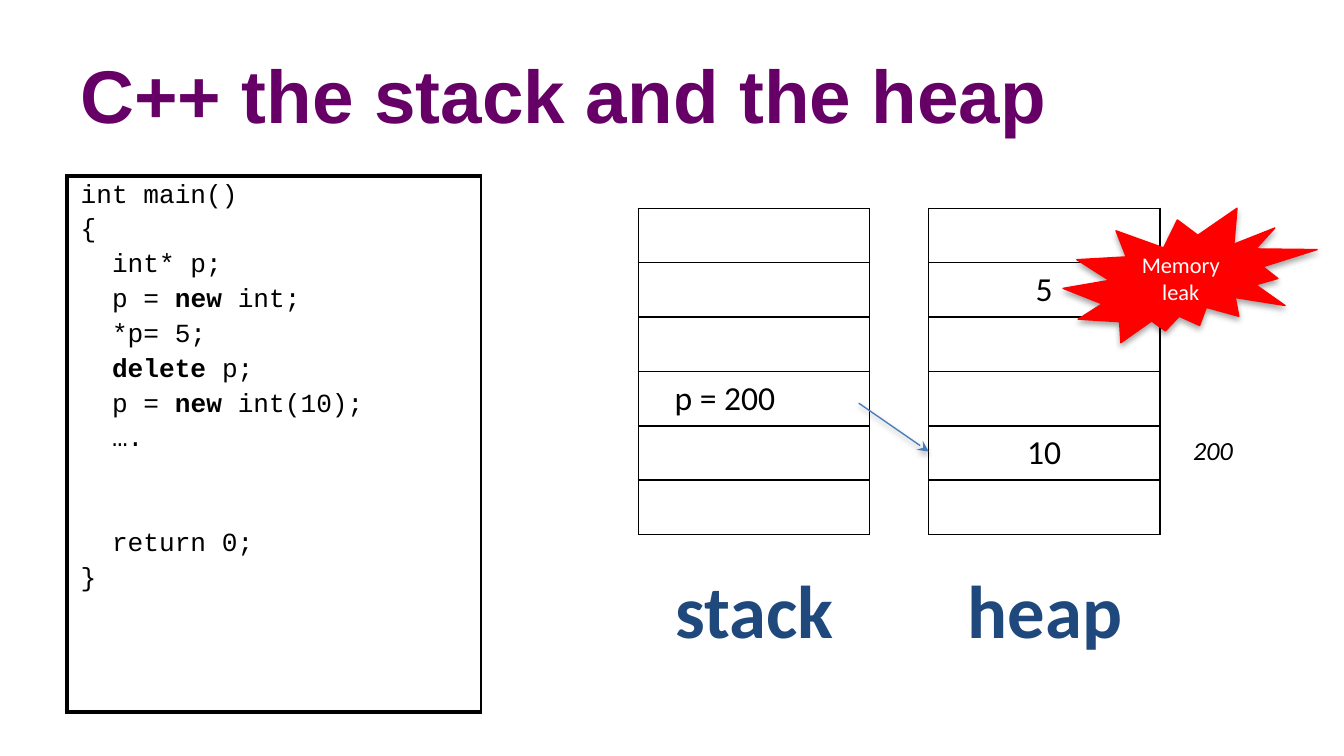
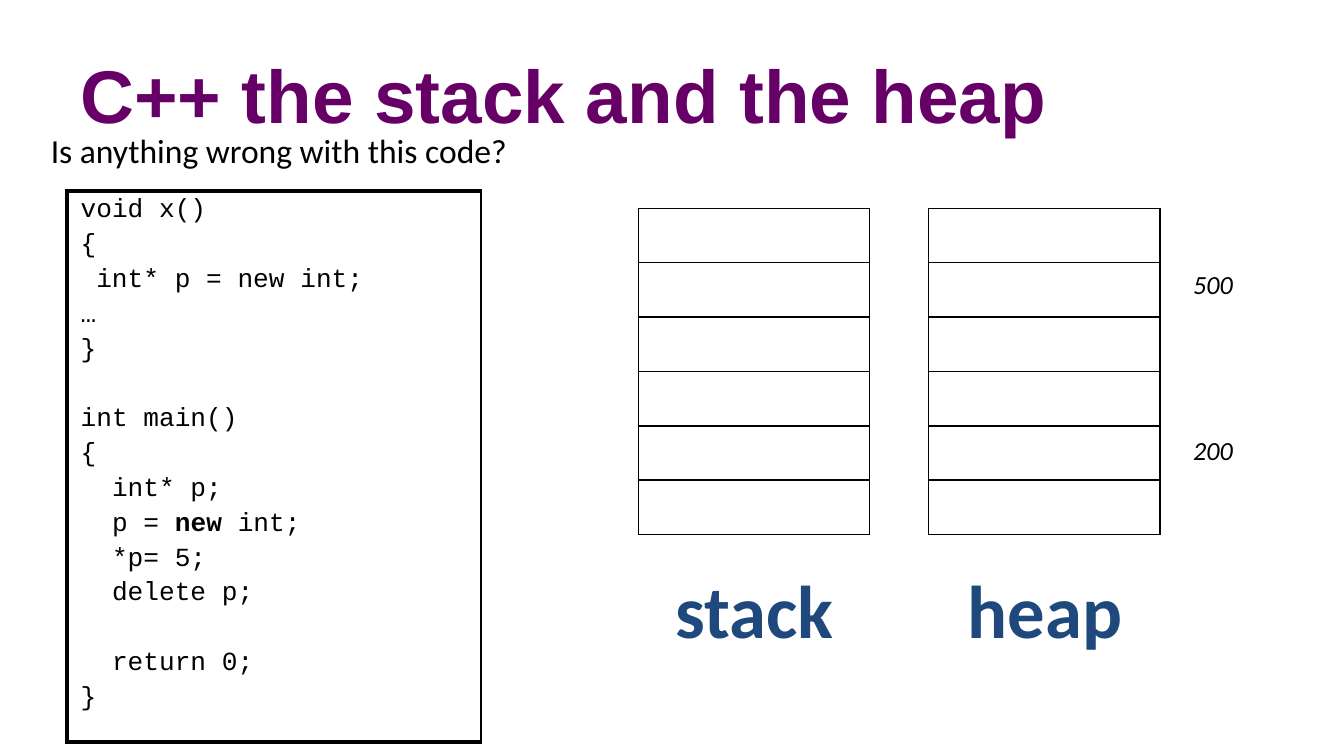
from dataclasses import dataclass

from lxml.etree import SubElement
from pptx import Presentation
from pptx.dml.color import RGBColor
from pptx.enum.shapes import MSO_CONNECTOR as LINK, MSO_SHAPE as SHAPE
from pptx.enum.text import MSO_ANCHOR as ANCHOR, PP_ALIGN as ALIGN
from pptx.oxml.ns import qn
from pptx.util import Inches, Pt


@dataclass(frozen=True)
class Theme:
    title: str = "660066"
    caption: str = "1F497D"
    ink: str = "000000"
    paper: str = "FFFFFF"
    alert: str = "FF0000"
    pointer: str = "4B7EBC"
    title_font: str = "Arial"
    body_font: str = "Calibri"
    code_font: str = "Courier New"
    display: int = 40
    body: int = 18
    small: int = 14
    note: int = 12
    thin: float = 1
    thick: float = 2.25
    hairline: float = 0.75


THEME = Theme()

# Grid: 100 columns by 56.25 rows of a tenth of an inch
UNIT = Inches(0.1)
COLUMNS, ROWS = 100, 56.25

# Memory blocks
STACK_LEFT, HEAP_LEFT = 47.5, 69.1
BLOCK_TOP, BLOCK_WIDTH = 15.5, 17.2
SLOTS, SLOT_HEIGHT = 6, 4.05

# Code metrics in points
CODE_CHAR, CODE_LINE, CODE_GAP = 8.4, 18.7, 2.8

MAIN_CODE = """\
int main()
{
  int* p;
  p = `new` int;
  *p= 5;
  `delete` p;
  p = `new` int(10);
  ….


  return 0;
}"""

FUNCTION_CODE = """\
void x()
{
 int* p = new int;
…
}

int main()
{
  int* p;
  p = `new` int;
  *p= 5;
  delete p;

  return 0;
}"""


def grid(*lengths):
    return [int(length * UNIT) for length in lengths]


def write(paragraph, text, font=THEME.body_font, size=THEME.body, color=THEME.ink,
          bold=False, italic=False, align=ALIGN.LEFT, indent=0, before=0):
    """Fill a paragraph; parts between backticks are bold."""
    paragraph.alignment = align
    paragraph.space_before = Pt(before)
    if indent:
        paragraph._p.get_or_add_pPr().set("marL", str(Pt(indent)))
    for index, part in enumerate(text.split("`")):
        if not part:
            continue
        run = paragraph.add_run()
        run.text = part
        run.font.name, run.font.size = font, Pt(size)
        run.font.bold, run.font.italic = bold or index % 2 == 1, italic
        run.font.color.rgb = RGBColor.from_string(color)


def set_borders(cell, **widths):
    for side, width in widths.items():
        line = SubElement(cell._tc.get_or_add_tcPr(), qn(f"a:ln{side}"), w=str(Pt(width)))
        fill = SubElement(line, qn("a:solidFill"))
        SubElement(fill, qn("a:srgbClr"), val=THEME.ink)


def add_shadow(shape):
    effects = SubElement(shape._element.spPr, qn("a:effectLst"))
    shadow = SubElement(effects, qn("a:outerShdw"), blurRad="40000", dist="23000",
                        dir="5400000", rotWithShape="0")
    tint = SubElement(shadow, qn("a:srgbClr"), val=THEME.ink)
    SubElement(tint, qn("a:alpha"), val="35000")


class Deck:
    def __init__(self, theme):
        self.theme = theme
        self.show = Presentation()
        self.show.slide_width, self.show.slide_height = grid(COLUMNS, ROWS)
        self.shapes = None

    def new_slide(self, title):
        self.shapes = self.show.slides.add_slide(self.show.slide_layouts[6]).shapes
        self.text(title, 5, 2.3, 90, 9.4, anchor=ANCHOR.MIDDLE, font=self.theme.title_font,
                  size=self.theme.display, color=self.theme.title, bold=True)

    def text(self, words, left, top, width, height, anchor=ANCHOR.TOP, wrap=True, **style):
        frame = self.shapes.add_textbox(*grid(left, top, width, height)).text_frame
        frame.word_wrap, frame.vertical_anchor = wrap, anchor
        write(frame.paragraphs[0], words, **style)

    def table(self, left, top, width, row_height, rows):
        table = self.shapes.add_table(
            rows, 1, *grid(left, top, width, row_height * rows)).table
        table.first_row = table.horz_banding = False
        return table

    def code(self, source, top):
        cell = self.table(5, top, 30.8, 39.9, 1).cell(0, 0)
        thick, thin = self.theme.thick, self.theme.thin
        set_borders(cell, L=thick, R=thin, T=thick, B=thick)
        cell.fill.solid()
        cell.fill.fore_color.rgb = RGBColor.from_string(self.theme.paper)
        cell.margin_top = cell.margin_bottom = Inches(0.04)
        paragraph, before = cell.text_frame.paragraphs[0], 0
        for number, line in enumerate(source.splitlines()):
            statement = line.lstrip()
            if not statement:
                before += CODE_LINE
                continue
            if number:
                paragraph = cell.text_frame.add_paragraph()
            write(paragraph, statement, font=self.theme.code_font, size=self.theme.small,
                  indent=CODE_CHAR * (len(line) - len(statement)), before=before)
            before = CODE_GAP

    def memory(self, name, left, values, **style):
        """A named block of memory slots; values maps slot number to text."""
        self.text(name, left - 3, 41.5, 23.3, 7.7, size=self.theme.display,
                  color=self.theme.caption, bold=True, align=ALIGN.CENTER)
        table = self.table(left, BLOCK_TOP, BLOCK_WIDTH, SLOT_HEIGHT, SLOTS)
        for slot in range(SLOTS):
            cell = table.cell(slot, 0)
            set_borders(cell, **dict.fromkeys("LRTB", self.theme.thin))
            cell.fill.background()
            write(cell.text_frame.paragraphs[0], values.get(slot, ""), **style)

    def address(self, number, top):
        self.text(number, 87.8, top, 5, 3.4, wrap=False, size=self.theme.small, italic=True)

    def pointer(self, *ends):
        arrow = self.shapes.add_connector(LINK.STRAIGHT, *grid(*ends))
        arrow.line.color.rgb = RGBColor.from_string(self.theme.pointer)
        arrow.line.width = Pt(self.theme.hairline)
        SubElement(arrow.line._get_or_add_ln(), qn("a:tailEnd"), type="stealth")
        add_shadow(arrow)

    def burst(self, words, *box):
        seal = self.shapes.add_shape(SHAPE.EXPLOSION2, *grid(*box))
        seal.fill.solid()
        seal.fill.fore_color.rgb = RGBColor.from_string(self.theme.alert)
        seal.line.color.rgb = RGBColor.from_string(self.theme.alert)
        seal.line.width = Pt(self.theme.hairline)
        add_shadow(seal)
        seal.text_frame.word_wrap = True
        seal.text_frame.vertical_anchor = ANCHOR.MIDDLE
        write(seal.text_frame.paragraphs[0], words, size=self.theme.note,
              color=self.theme.paper, align=ALIGN.CENTER)


def lesson(deck, source, code_top, stack, heap, addresses):
    """The layout both slides share."""
    deck.new_slide("C++ the stack and the heap")
    deck.code(source, code_top)
    deck.memory("stack", STACK_LEFT, stack, indent=12.2)
    deck.memory("heap", HEAP_LEFT, heap, align=ALIGN.CENTER)
    for number, top in addresses.items():
        deck.address(number, top)


def main():
    deck = Deck(THEME)

    # Memory leak
    lesson(deck, MAIN_CODE, 13.1, {3: "p = 200"}, {1: "5", 4: "10"}, {"200": 31.8})
    deck.pointer(63.9, 30, HEAP_LEFT, 33.6)
    deck.burst("Memory leak", 79.1, BLOCK_TOP, 18.9, 10)

    # Question on the code
    lesson(deck, FUNCTION_CODE, 14.2, {}, {}, {"500": 19.5, "200": 31.8})
    deck.text("Is anything wrong with this code?", 2.8, 9.2, 37, 4, wrap=False)

    deck.show.save("out.pptx")


if __name__ == "__main__":
    main()
